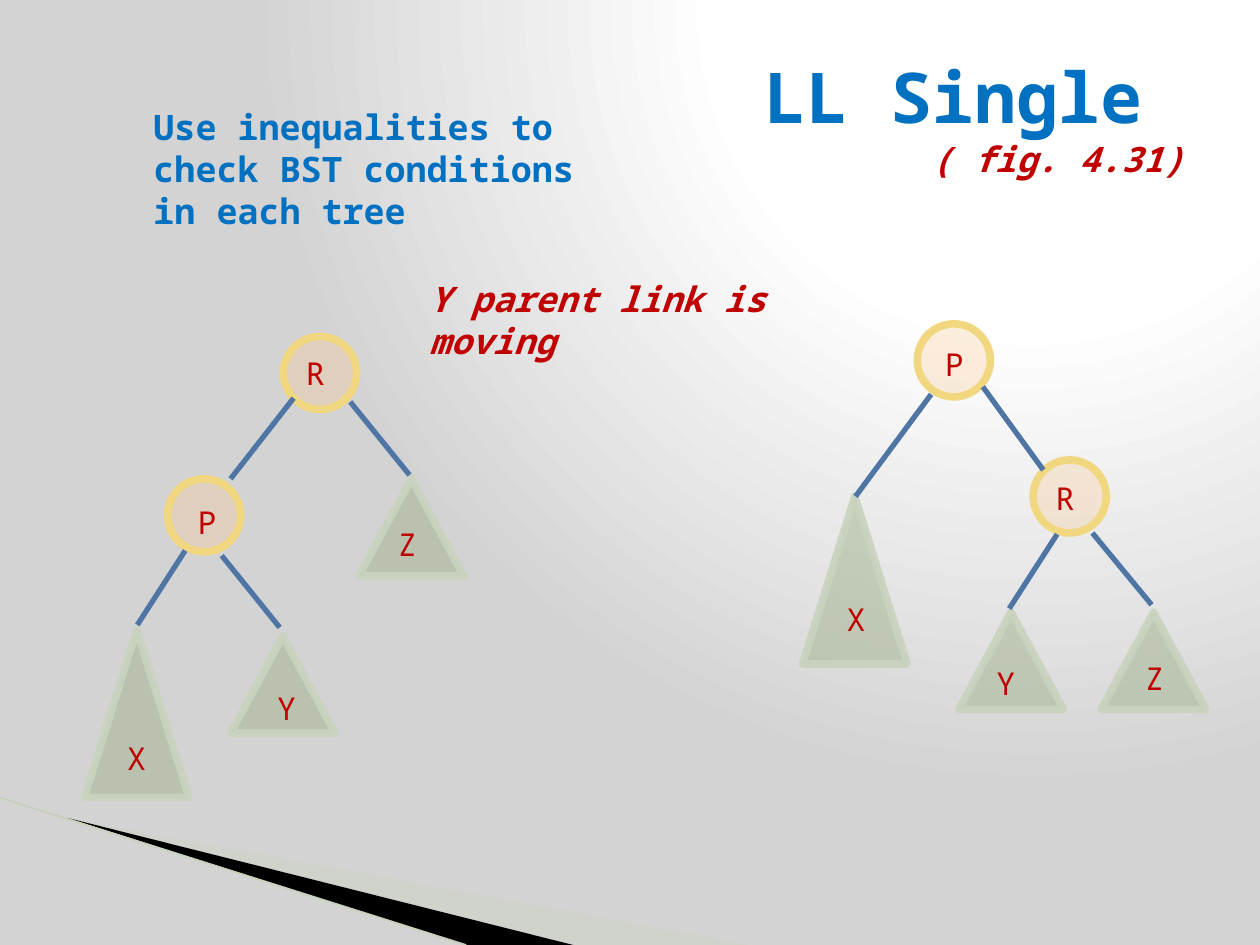
from pptx import Presentation, util as u
from pptx.dml.color import RGBColor
from pptx.enum import shapes, text
from pptx.oxml import parse_xml
from pptx.oxml.ns import nsdecls, qn

COL = u.Inches(1)
FONT = "Noto Sans Mono"
RED, BLUE = "C00000", "0070C0"
OVAL, TRI = shapes.MSO_SHAPE.OVAL, shapes.MSO_SHAPE.ISOSCELES_TRIANGLE
NODE, SMALL, TALL = (OVAL, 0.58, 0.58), (TRI, 0.83, 0.77), (TRI, 0.83, 1.33)

TREES = [
    ([(NODE, 1.33, 3.8, "P", 1.47, 3.94), (NODE, 2.25, 2.67, "R", 2.33, 2.76),
      (TALL, 0.67, 5, "X", 0.91, 5.82), (SMALL, 1.83, 5.05, "Y", 2.1, 5.42),
      (SMALL, 2.85, 3.8, "Z", 3.06, 4.12)],
     [(2.33, 3.16, 1.83, 3.8), (2.78, 3.19, 3.25, 3.77),
      (1.76, 4.41, 2.22, 4.98), (1.47, 4.37, 1.09, 4.96)]),
    ([(NODE, 8.2, 3.65, "R", 8.28, 3.75), (NODE, 7.28, 2.57, "P", 7.4, 2.69),
      (TALL, 6.37, 3.94, "X", 6.62, 4.71), (SMALL, 7.61, 4.86, "Y", 7.81, 5.22),
      (SMALL, 8.74, 4.86, "Z", 8.99, 5.18)],
     [(8.67, 4.23, 9.14, 4.8), (8.39, 4.24, 8.01, 4.83),
      (7.8, 3.07, 8.28, 3.73), (7.39, 3.13, 6.79, 3.94)]),
]


def grid(*nums):
    """Turn column counts into lengths."""
    return [round(n * COL) for n in nums]


def rgb(hue):
    """Turn a hex string into a colour."""
    return RGBColor.from_string(hue)


def fade(fill, hue, share):
    """Fill with a colour at a percentage of opacity."""
    fill.solid()
    fill.fore_color.rgb = rgb(hue)
    tint = fill._xPr.find(qn("a:solidFill"))[0]
    tint.append(parse_xml(f'<a:alpha {nsdecls("a")} val="{share * 1000}"/>'))


def style(run, size, hue, bold=False, slant=False):
    """Set the font of a run."""
    font = run.font
    font.name, font.size = FONT, u.Pt(size)
    font.bold, font.italic = bold, slant
    font.color.rgb = rgb(hue)


def backdrop(slide):
    """Paint the radial grey background."""
    slide.background.fill.solid()
    back = slide.element.find(".//" + qn("p:bgPr"))
    stops = "".join(
        f'<a:gs pos="{pos}000"><a:srgbClr val="{hue}"/></a:gs>'
        for pos, hue in [(0, "FFFFFF"), (40, "FFFFFF"), (100, "D3D3D3")])
    back.replace(back[0], parse_xml(
        f'<a:gradFill {nsdecls("a")} rotWithShape="1"><a:gsLst>{stops}</a:gsLst>'
        '<a:path path="circle"><a:fillToRect l="65000" t="0" r="0" b="98000"/>'
        '</a:path></a:gradFill>'))


def wedge(slide, points, hue, share=100):
    """Draw a filled outline without a border."""
    spots = [grid(*point) for point in points]
    pen = slide.shapes.build_freeform(*spots[0])
    pen.add_line_segments(spots[1:])
    shape = pen.convert_to_shape()
    shape.shadow.inherit = False
    fade(shape.fill, hue, share)
    shape.line.fill.background()


def line(slide, ends, hue, width):
    """Draw a straight line."""
    link = slide.shapes.add_connector(shapes.MSO_CONNECTOR.STRAIGHT, *grid(*ends))
    link.line.color.rgb = rgb(hue)
    link.line.width = u.Pt(width)
    link.element.spPr.append(parse_xml(f'<a:effectLst {nsdecls("a")}/>'))


def box(slide, words, area, size, hue, **look):
    """Add a wrapped text box."""
    frame = slide.shapes.add_textbox(*grid(*area)).text_frame
    frame.word_wrap = True
    frame.text = words
    style(frame.paragraphs[0].runs[0], size, hue, **look)


def node(slide, kind, left, top, name, x, y):
    """Draw a tree node or subtree with its label."""
    form, wide, high = kind
    shape = slide.shapes.add_shape(form, *grid(left, top, wide, high))
    shape.shadow.inherit = False
    shape.line.width = u.Pt(4.33)
    if form == OVAL:
        fade(shape.fill, "F8C891", 30)
        shape.line.color.rgb = rgb("F1D77F")
    else:
        fade(shape.fill, "A5B592", 54)
        fade(shape.line.fill, "C9D3BE", 90)
    box(slide, name, (x, y, 0.42, 0.4), 18, RED)


def head(slide):
    """Place and format the title."""
    title = slide.shapes.title
    title.left, title.top, title.width, title.height = grid(0.5, 0.3, 9, 1.25)
    frame = title.text_frame
    frame.vertical_anchor = text.MSO_ANCHOR.MIDDLE
    para = frame.paragraphs[0]
    para.text = "LL Single \v( fig. 4.31)"
    para.alignment = text.PP_ALIGN.RIGHT
    first, last = para.runs
    style(first, 40, BLUE, bold=True)
    style(last, 20, RED, bold=True, slant=True)
    gap = para._p.find(qn("a:br"))
    gap.append(parse_xml(f'<a:rPr {nsdecls("a")} sz="4000"/>'))


def main():
    """Build the slide."""
    deck = Presentation()
    deck.slide_width, deck.slide_height = grid(10, 7.5)
    slide = deck.slides.add_slide(deck.slide_layouts.get_by_name("Title Only"))
    backdrop(slide)
    wedge(slide, [(0.55, 6.5), (5.95, 7.5), (4.56, 7.5)], "CBD4C0", 40)
    wedge(slide, [(0.53, 6.49), (4.55, 7.5), (3.7, 7.5)], "000000")
    line(slide, (0, 6.33, 3.7, 7.5), "C6D0BB", 0.95)
    head(slide)
    for nodes, links in TREES:
        for item in nodes:
            node(slide, *item)
        for ends in links:
            line(slide, ends, "4E75A3", 3)
    box(slide, "Use inequalities to check BST conditions in each tree",
        (1.12, 0.79, 3.6, 1.11), 20, BLUE, bold=True)
    box(slide, "Y parent link is moving", (3.31, 2.15, 3.6, 0.44), 20, RED,
        bold=True, slant=True)
    deck.save("out.pptx")


if __name__ == "__main__":
    main()
